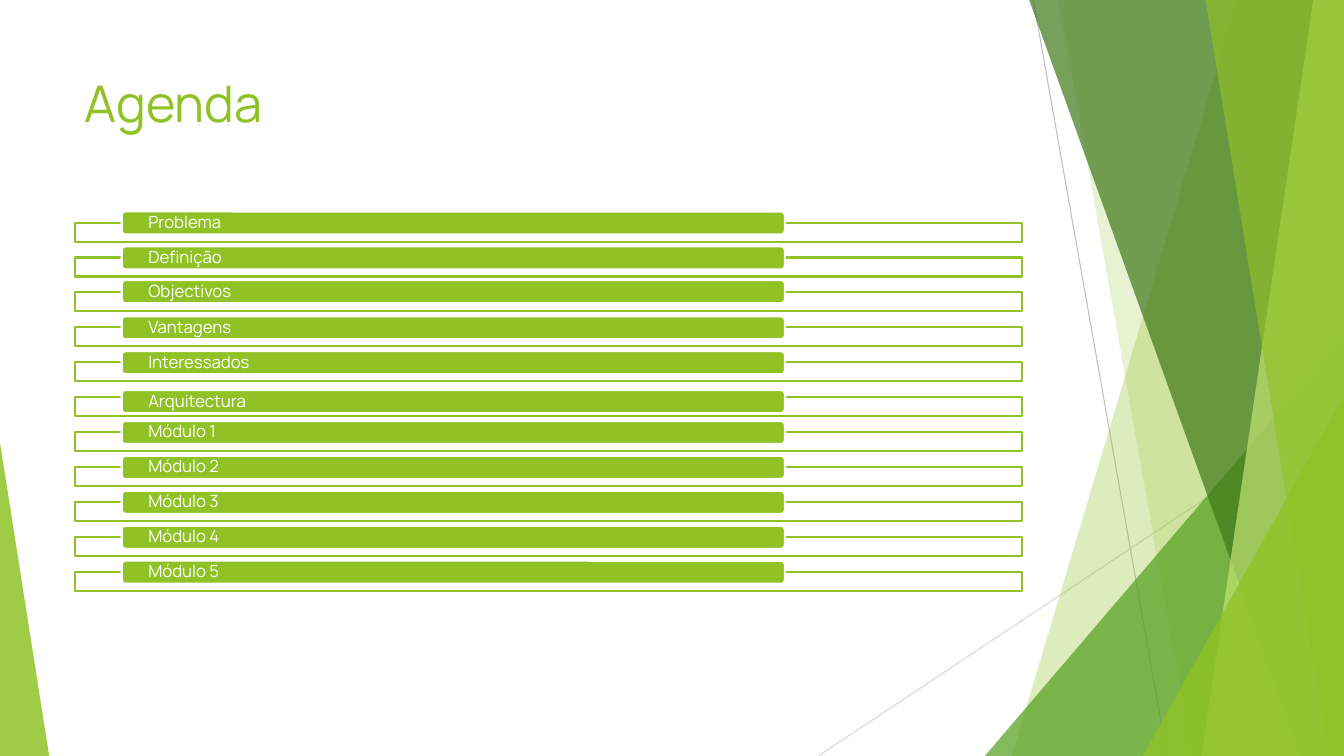
"""Build the agenda slide: eleven topic bars beside a faceted green backdrop."""
from lxml.etree import SubElement
from pptx import Presentation
from pptx.dml.color import RGBColor
from pptx.enum.shapes import MSO_CONNECTOR, MSO_SHAPE
from pptx.enum.text import MSO_ANCHOR, PP_ALIGN
from pptx.oxml.ns import qn
from pptx.util import Cm, Pt

TITLE = "Agenda"
TOPICS = ["Problema", "Definição", "Objectivos", "Vantagens", "Interessados", "Arquitectura",
          "Módulo 1", "Módulo 2", "Módulo 3", "Módulo 4", "Módulo 5"]
BAR_SHIFTS = {"Objectivos": -0.03, "Arquitectura": 0.1}

FONT = "Manrope"
GREEN = "90C226"
WHITE = "FFFFFF"
SLIDE_WIDTH, SLIDE_HEIGHT = 33.87, 19.05
BLEED = 0.02
CONTENT_LEFT, CONTENT_WIDTH = 1.88, 23.88
FRAME_TOP, FRAME_HEIGHT = 5.61, 0.48
BAR_LEFT, BAR_TOP, BAR_WIDTH, BAR_HEIGHT = 3.07, 5.33, 16.71, 0.58
ROW_STEP = 0.88

# fmt: off
LINES = [
    ((26.04, 0), (29.41, SLIDE_HEIGHT), "BFBFBF"),
    ((SLIDE_WIDTH, 10.24), (20.62, SLIDE_HEIGHT), "D9D9D9"),
]
FACETS = [
    ("panel", (31.19, 25.5), GREEN, 30),
    ("panel", (26.67, 30.05), GREEN, 20),
    ("triangle", (24.82, 8.46, SLIDE_WIDTH, 1), "54A021", 72),
    ("panel", (25.93, 32.79), "3F7819", 70),
    ("panel", (33.1, 30.28), "C0E474", 70),
    ("panel", (30.38, 33.48), GREEN, 65),
    ("triangle", (28.8, 9.98, SLIDE_WIDTH, 1), GREEN, 80),
    ("triangle", (0, 11.15, 1.24, 0), GREEN, 85),
]
# fmt: on


def color(hex_string):
    return RGBColor.from_string(hex_string)


def paint(shape, fill, opacity=100, line=None):
    shape.shadow.inherit = False
    shape.fill.solid()
    shape.fill.fore_color.rgb = color(fill)
    if opacity < 100:
        solid = shape.fill._xPr.find(qn("a:solidFill"))
        SubElement(solid[0], qn("a:alpha")).set("val", str(opacity * 1000))
    if line:
        shape.line.color.rgb = color(line)
        shape.line.width = Pt(1.5)
    else:
        shape.line.fill.background()


def write(shape, text, size, hex_string):
    paragraph = shape.text_frame.paragraphs[0]
    paragraph.text = text
    paragraph.alignment = PP_ALIGN.LEFT
    font = paragraph.runs[0].font
    font.name, font.size = FONT, Pt(size)
    font.color.rgb = color(hex_string)
    return paragraph


def add_line(shapes, start, end, hex_string):
    points = [Cm(value) for value in start + end]
    connector = shapes.add_connector(MSO_CONNECTOR.STRAIGHT, *points)
    connector.line.color.rgb = color(hex_string)
    connector.line.width = Pt(0.75)
    SubElement(connector._element.spPr, qn("a:effectLst"))


def add_panel(shapes, top_left, bottom_left):
    corners = [(top_left, -BLEED), (SLIDE_WIDTH, -BLEED),
               (SLIDE_WIDTH, SLIDE_HEIGHT), (bottom_left, SLIDE_HEIGHT)]
    points = [(Cm(x), Cm(y)) for x, y in corners]
    builder = shapes.build_freeform(*points[0])
    builder.add_line_segments(points[1:], close=True)
    return builder.convert_to_shape()


def add_triangle(shapes, left, top, right, apex):
    triangle = shapes.add_shape(MSO_SHAPE.ISOSCELES_TRIANGLE, Cm(left), Cm(top),
                                Cm(right - left), Cm(SLIDE_HEIGHT - top))
    triangle.adjustments[0] = apex
    return triangle


def add_topic(shapes, row, topic):
    offset = row * ROW_STEP
    frame = shapes.add_shape(MSO_SHAPE.RECTANGLE, Cm(CONTENT_LEFT), Cm(FRAME_TOP + offset),
                             Cm(CONTENT_WIDTH), Cm(FRAME_HEIGHT))
    paint(frame, WHITE, 90, GREEN)
    bar_top = BAR_TOP + offset + BAR_SHIFTS.get(topic, 0)
    bar = shapes.add_shape(MSO_SHAPE.ROUNDED_RECTANGLE, Cm(BAR_LEFT), Cm(bar_top),
                           Cm(BAR_WIDTH), Cm(BAR_HEIGHT))
    paint(bar, GREEN, line=WHITE)
    text_frame = bar.text_frame
    text_frame.word_wrap = True
    text_frame.vertical_anchor = MSO_ANCHOR.MIDDLE
    text_frame.margin_left = text_frame.margin_right = Cm(0.64)
    text_frame.margin_top = text_frame.margin_bottom = 0
    write(bar, topic, 12, WHITE).line_spacing = 0.9


def main():
    presentation = Presentation()
    presentation.slide_width, presentation.slide_height = Cm(SLIDE_WIDTH), Cm(SLIDE_HEIGHT)
    shapes = presentation.slides.add_slide(presentation.slide_layouts[6]).shapes
    for start, end, hex_string in LINES:
        add_line(shapes, start, end, hex_string)
    builders = {"panel": add_panel, "triangle": add_triangle}
    for kind, geometry, fill, opacity in FACETS:
        paint(builders[kind](shapes, *geometry), fill, opacity)
    title = shapes.add_textbox(Cm(CONTENT_LEFT), Cm(1.7), Cm(CONTENT_WIDTH), Cm(3.66))
    title.text_frame.word_wrap = True
    write(title, TITLE, 36, GREEN)
    for row, topic in enumerate(TOPICS):
        add_topic(shapes, row, topic)
    presentation.save("out.pptx")


if __name__ == "__main__":
    main()
